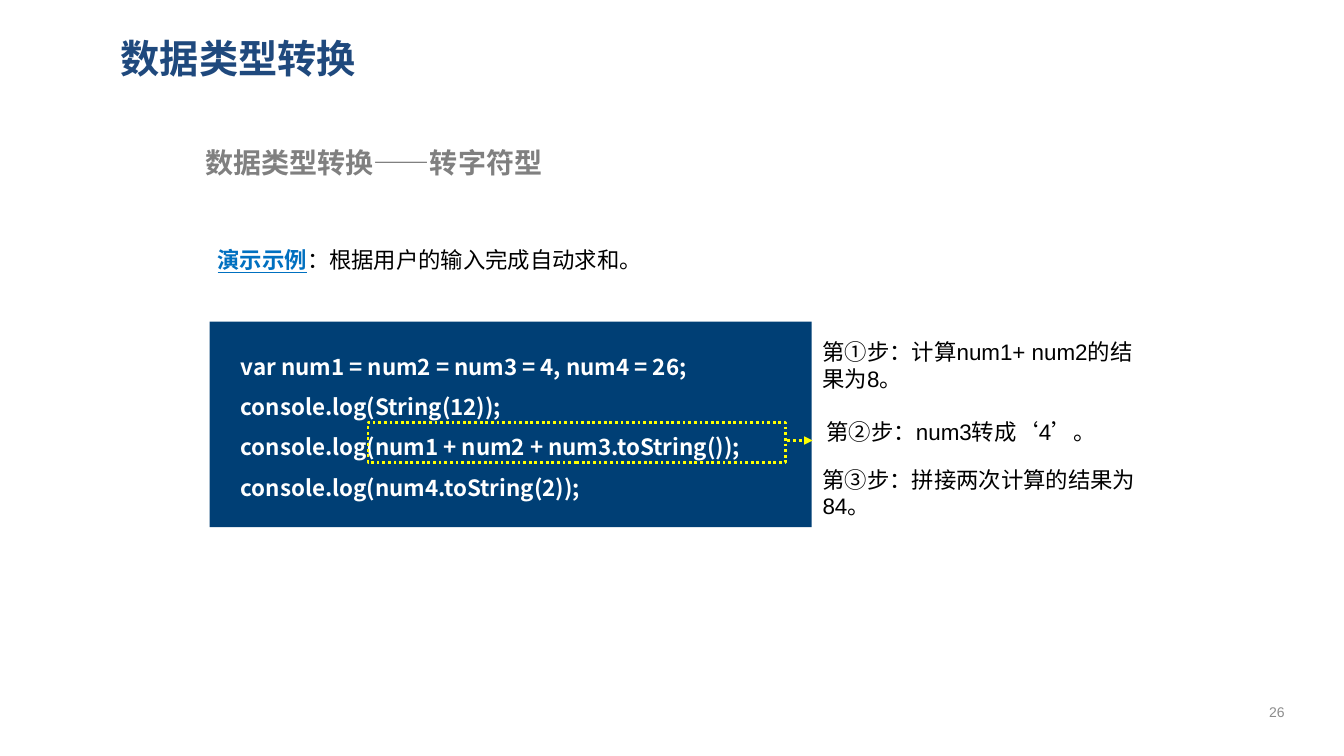
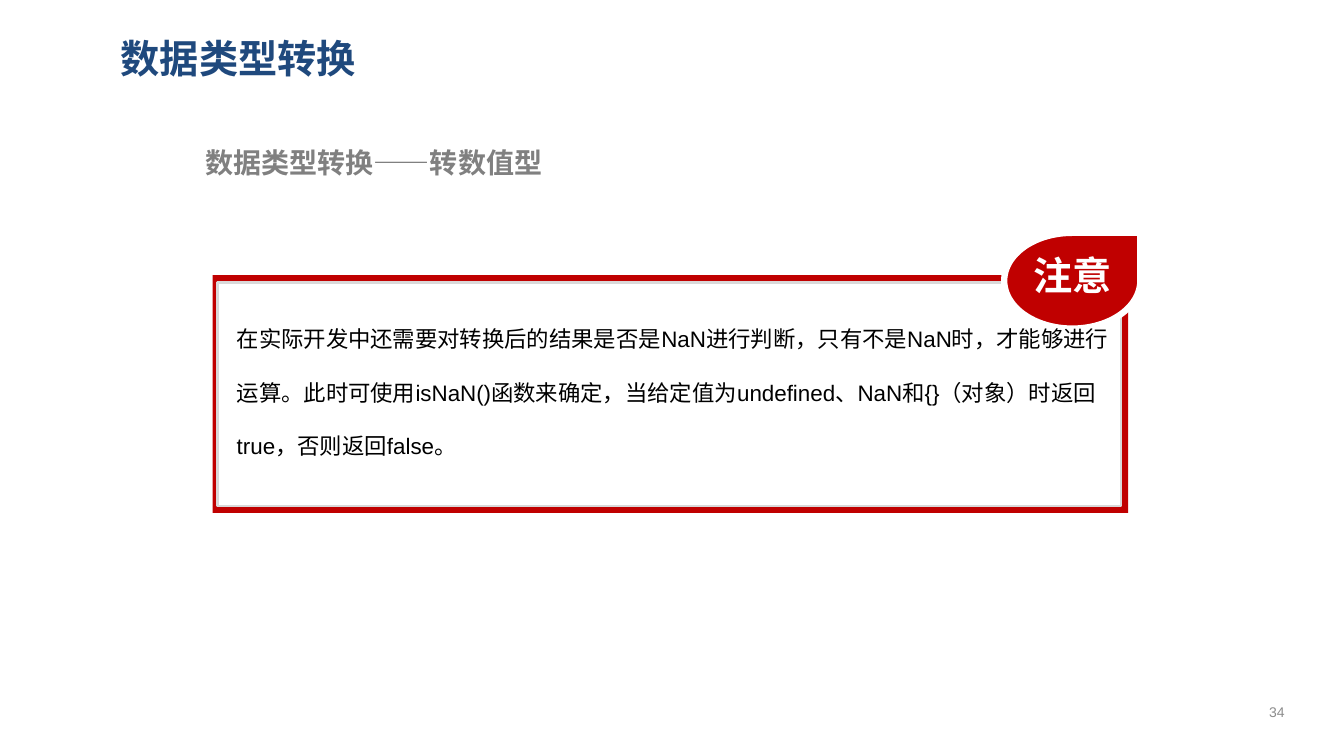
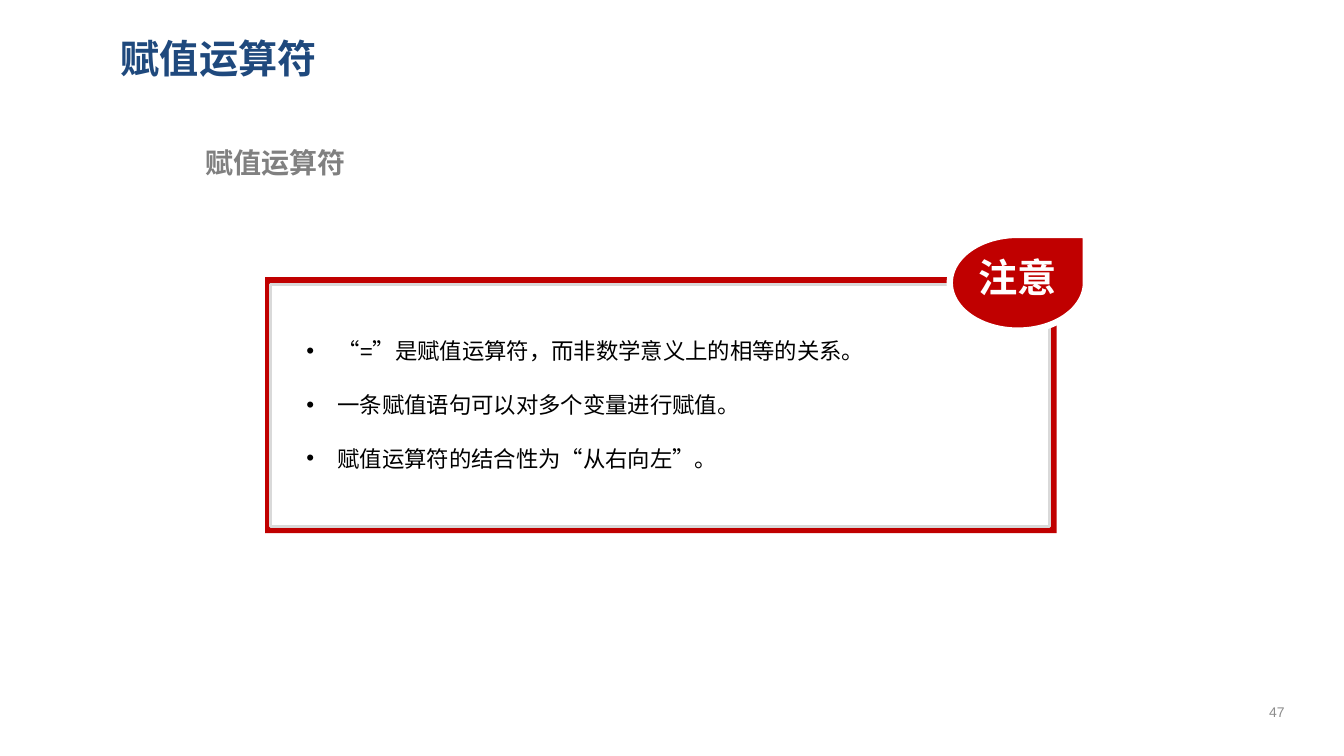
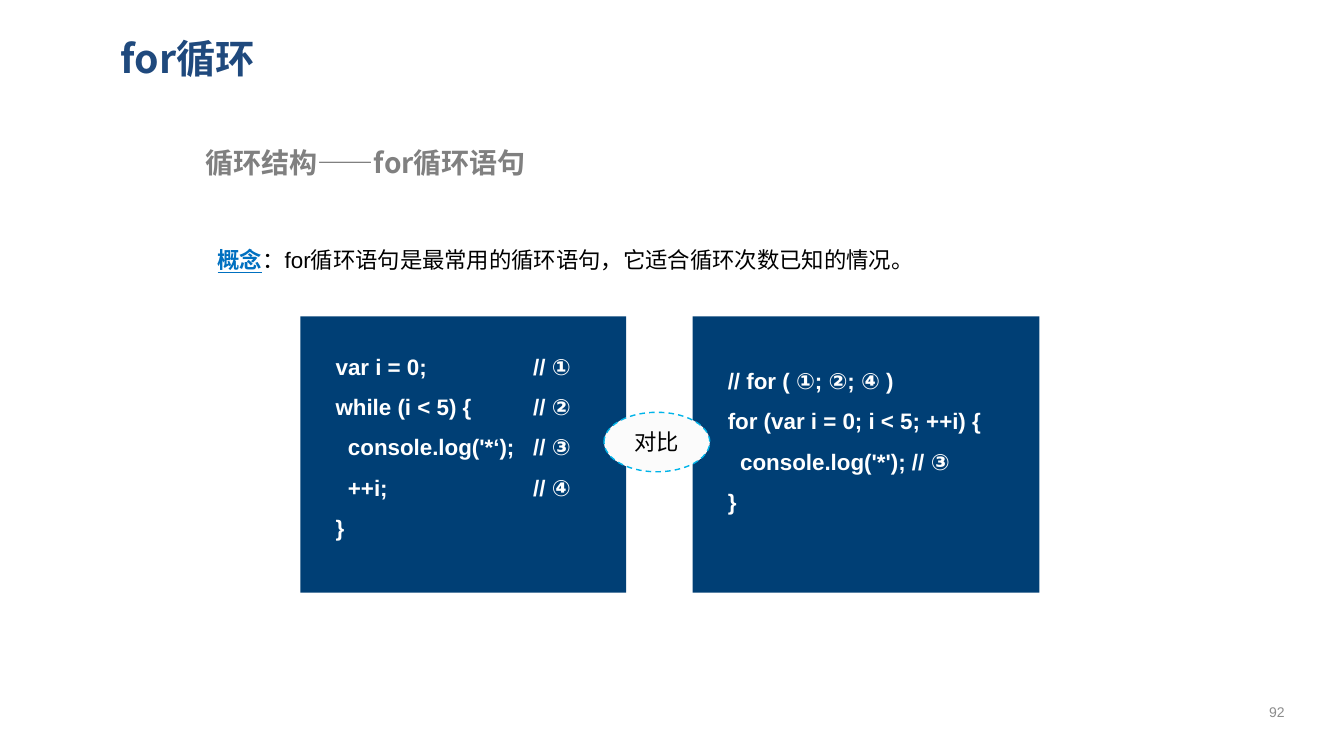
from lxml import etree
from pptx import Presentation
from pptx import util as u
from pptx.dml.color import RGBColor
from pptx.enum import dml, shapes, text
from pptx.oxml import ns

HEAVY, PLAIN = "Noto Sans CJK SC", "Arial"
NAVY, GREY, BLUE, PANEL = "1F497D", "808080", "0070C0", "003F75"
RED, WHITE, BLACK, YELLOW = "C00000", "FFFFFF", "000000", "FFFF00"
WIDTH, HEIGHT = 13.33, 7.5

PAGES = [
    dict(
        title="数据类型转换", subtitle="数据类型转换——转字符型", number=26,
        lead=("演示示例", "：根据用户的输入完成自动求和。"),
        codes=[dict(at=(2.08, 3.19, 5.97, 2.04), inset=(0.21, 0.13), font=HEAVY, lines=[
            "var num1 = num2 = num3 = 4, num4 = 26;",
            "console.log(String(12));",
            "console.log(num1 + num2 + num3.toString());",
            "console.log(num4.toString(2));",
        ])],
        highlight=(3.65, 4.19, 4.14, 0.4), arrow=(7.81, 4.37, 8.06, 4.37),
        steps=[
            ((8.06, 3.31, 3.43, 0.71), "第①步：计算num1+ num2的结果为8。"),
            ((8.1, 4.1, 3.43, 0.4), "第②步：num3转成‘4’。"),
            ((8.06, 4.57, 3.43, 0.71), "第③步：拼接两次计算的结果为84。"),
        ],
    ),
    dict(
        title="数据类型转换", subtitle="数据类型转换——转数值型", number=34,
        notice=dict(card=(2.11, 2.73, 9.08, 2.36), badge_left=9.96,
                    body=(2.25, 2.91, 8.9, 1.82), bullet=False, lines=[
            "在实际开发中还需要对转换后的结果是否是NaN进行判断，只有不是NaN时，才能够进行运算。"
            "此时可使用isNaN()函数来确定，当给定值为undefined、NaN和{}（对象）时返回true，否则返回false。",
        ]),
    ),
    dict(
        title="赋值运算符", subtitle="赋值运算符", number=47,
        notice=dict(card=(2.63, 2.75, 7.85, 2.54), badge_left=9.42,
                    body=(2.94, 3.03, 7.57, 1.82), bullet=True, lines=[
            "“=”是赋值运算符，而非数学意义上的相等的关系。",
            "一条赋值语句可以对多个变量进行赋值。",
            "赋值运算符的结合性为“从右向左”。",
        ]),
    ),
    dict(
        title="for循环", subtitle="循环结构——for循环语句", number=92,
        lead=("概念", "：for循环语句是最常用的循环语句，它适合循环次数已知的情况。"),
        codes=[
            dict(at=(2.98, 3.14, 3.23, 2.74), inset=(0.25, 0.18), font=PLAIN, tab=1.96, lines=[
                "var i = 0;\t// ①",
                "while (i < 5) {\t// ②",
                "  console.log('*‘);\t// ③",
                "  ++i;\t// ④",
                "}",
            ]),
            dict(at=(6.87, 3.14, 3.44, 2.74), inset=(0.25, 0.32), font=PLAIN, lines=[
                "// for ( ①; ②; ④ )",
                "for (var i = 0; i < 5; ++i) {",
                "  console.log('*'); // ③",
                "}",
            ]),
        ],
        versus=((5.99, 4.09, 1.05, 0.59), "对比"),
    ),
]


def color(value):
    return RGBColor.from_string(value)


def inches(values):
    return [u.Inches(value) for value in values]


def add_child(parent, tag, **attributes):
    child = etree.SubElement(parent, ns.qn(tag))
    for name, value in attributes.items():
        child.set(name, str(value))
    return child


def style_line(line, ink, width, dash=None):
    line.color.rgb = color(ink)
    line.width = u.Pt(width)
    if dash:
        line.dash_style = dash


def add_shape(page, kind, at, fill=None, outline=None):
    shape = page.shapes.add_shape(kind, *inches(at))
    shape.shadow.inherit = False
    if fill:
        shape.fill.solid()
        shape.fill.fore_color.rgb = color(fill)
    else:
        shape.fill.background()
    if outline:
        style_line(shape.line, *outline)
    else:
        shape.line.fill.background()
    return shape


def write(box, lines, size=16, font=PLAIN, ink=BLACK, bold=False, spacing=None,
          align=text.PP_ALIGN.LEFT, anchor=text.MSO_ANCHOR.TOP, wrap=True,
          bullet=False, tab=None):
    frame = box.text_frame
    frame.word_wrap = wrap
    frame.vertical_anchor = anchor
    for index, line in enumerate(lines):
        para = frame.add_paragraph() if index else frame.paragraphs[0]
        para.alignment = align
        if spacing:
            para.line_spacing = spacing
        properties = para._p.get_or_add_pPr()
        if bullet:
            indent = u.Inches(0.31)
            properties.set("marL", str(indent))
            properties.set("indent", str(-indent))
            add_child(properties, "a:buFont", typeface=PLAIN)
            add_child(properties, "a:buChar", char="•")
        if tab:
            stops = add_child(properties, "a:tabLst")
            add_child(stops, "a:tab", pos=u.Inches(tab), algn="l")
        pieces = [(line, {})] if isinstance(line, str) else line
        for words, changes in pieces:
            span = para.add_run()
            span.text = words
            span.font.name = font
            span.font.size = u.Pt(size)
            span.font.bold = changes.get("bold", bold)
            span.font.underline = changes.get("underline", False)
            span.font.color.rgb = color(changes.get("ink", ink))
            add_child(span._r.get_or_add_rPr(), "a:ea", typeface=HEAVY)


def add_text(page, at, lines, **style):
    box = page.shapes.add_textbox(*inches(at))
    write(box, lines, **style)


def add_frame(page, title, subtitle, number):
    middle = text.MSO_ANCHOR.MIDDLE
    add_text(page, (1.1, 0.24, 11.65, 0.67), [title], size=28, font=HEAVY,
             ink=NAVY, bold=True, anchor=middle)
    add_text(page, (1.94, 1.39, 9.22, 0.44), [subtitle], size=20, font=HEAVY,
             ink=GREY, bold=True)
    add_text(page, (12.34, 6.86, 0.65, 0.4), [str(number)], size=10, ink="8C8C8C",
             align=text.PP_ALIGN.CENTER, anchor=middle)


def add_lead(page, term, rest):
    strong = dict(bold=True, underline=True, ink=BLUE)
    add_text(page, (2.06, 2.13, 9.19, 0.61), [[(term, strong), (rest, {})]], spacing=2.0)


def add_code(page, at, inset, font, lines, tab=None):
    left, top, width, height = at
    across, down = inset
    add_shape(page, shapes.MSO_SHAPE.RECTANGLE, at, PANEL)
    add_text(page, (left + across, top + down, width - across, height - down), lines,
             font=font, ink=WHITE, bold=True, spacing=1.5, tab=tab)


def add_notice(page, card, badge_left, body, bullet, lines):
    left, top, width, height = card
    badge_top = top - 0.42
    add_shape(page, shapes.MSO_SHAPE.RECTANGLE, card, RED)
    add_shape(page, shapes.MSO_SHAPE.RECTANGLE,
              (left + 0.05, top + 0.07, width - 0.12, height - 0.14), WHITE, ("D9D9D9", 2))
    add_shape(page, shapes.MSO_SHAPE.TEAR, (badge_left, badge_top, 1.35, 0.95),
              RED, (WHITE, 4.5))
    add_text(page, (badge_left + 0.19, badge_top + 0.13, 0.99, 0.57), ["注意"],
             size=28, font=HEAVY, ink=WHITE, bold=True, wrap=False)
    add_text(page, body, lines, spacing=2.0, bullet=bullet)


def add_arrow(page, ends):
    arrow = page.shapes.add_connector(shapes.MSO_CONNECTOR.STRAIGHT, *inches(ends))
    style_line(arrow.line, YELLOW, 2, dml.MSO_LINE.ROUND_DOT)
    add_child(arrow.line._get_or_add_ln(), "a:tailEnd", type="triangle")
    add_child(arrow._element.spPr, "a:effectLst")


def add_page(deck, content):
    page = deck.slides.add_slide(deck.slide_layouts[6])
    add_frame(page, content["title"], content["subtitle"], content["number"])
    if "lead" in content:
        add_lead(page, *content["lead"])
    for code in content.get("codes", []):
        add_code(page, **code)
    if "highlight" in content:
        add_shape(page, shapes.MSO_SHAPE.RECTANGLE, content["highlight"],
                  outline=(YELLOW, 2, dml.MSO_LINE.ROUND_DOT))
        add_arrow(page, content["arrow"])
    for at, step in content.get("steps", []):
        add_text(page, at, [step])
    if "notice" in content:
        add_notice(page, **content["notice"])
    if "versus" in content:
        at, label = content["versus"]
        oval = add_shape(page, shapes.MSO_SHAPE.OVAL, at, "FBFBFB",
                         ("00B4E9", 1, dml.MSO_LINE.DASH))
        write(oval, [label], align=text.PP_ALIGN.CENTER, anchor=text.MSO_ANCHOR.MIDDLE)


def main():
    deck = Presentation()
    deck.slide_width, deck.slide_height = inches((WIDTH, HEIGHT))
    for content in PAGES:
        add_page(deck, content)
    deck.save("out.pptx")


if __name__ == "__main__":
    main()
